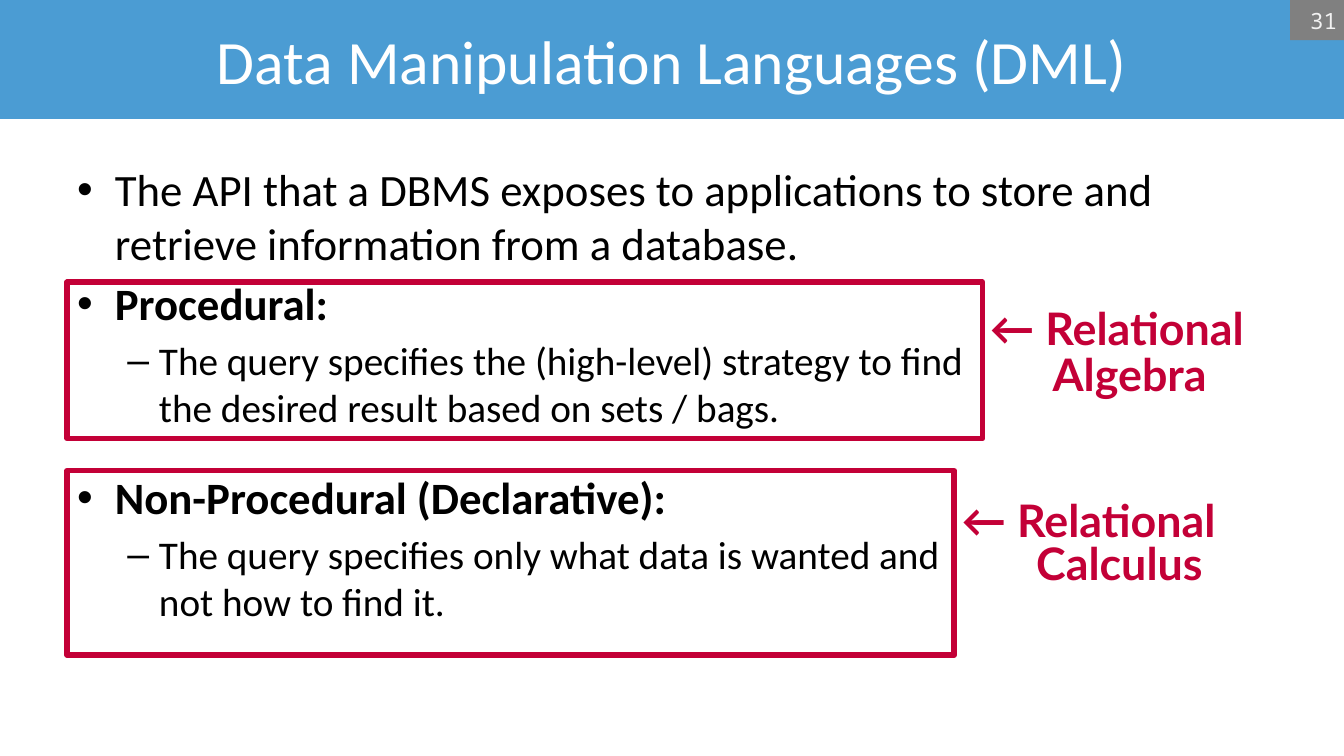
from lxml import etree
from pptx import Presentation
from pptx.dml.color import RGBColor
from pptx.enum.shapes import MSO_SHAPE
from pptx.enum.text import MSO_ANCHOR, PP_ALIGN
from pptx.oxml.ns import qn
from pptx.util import Pt

RECTANGLE = MSO_SHAPE.RECTANGLE
MIDDLE = MSO_ANCHOR.MIDDLE
CENTER = PP_ALIGN.CENTER
RIGHT = PP_ALIGN.RIGHT

BLUE, CRIMSON, GRAY = "4B9CD3", "C30037", "808080"
WHITE, BLACK, PALE = "FFFFFF", "000000", "F2F2F2"

BODY = [
    (0, "The API that a DBMS exposes to applications to store and retrieve "
        "information from a database.", False, 0),
    (0, "Procedural:", True, 4.8),
    (1, "The query specifies the (high-level) strategy to find\n"
        "the desired result based on sets / bags.", False, 4.8),
    (0, "Non-Procedural (Declarative):", True, 28),
    (1, "The query specifies only what data is wanted and\n"
        "not how to find it.", False, 4.8),
]
LEVELS = [("•", 32, 27, 27), ("–", 28, 58.5, 22.5)]
CALLOUTS = [
    ((48, 201.6, 653.8, 111.6), "← Relational\nAlgebra", 15.8, 0.85, 45),
    ((48, 336.2, 633.6, 131.8), "← Relational\nCalculus", 19.4, 0.8, 53.5),
]


def color(value):
    return RGBColor.from_string(value)


def style_runs(paragraph, font_name, size, font_color, bold=False):
    for run in paragraph.runs:
        run.font.name = font_name
        run.font.size = Pt(size)
        run.font.bold = bold
        run.font.color.rgb = color(font_color)


def set_hanging(paragraph, margin, hang):
    properties = paragraph._p.get_or_add_pPr()
    properties.set("marL", str(Pt(margin)))
    properties.set("indent", str(-Pt(hang)))
    return properties


def add_rectangle(slide, box):
    shape = slide.shapes.add_shape(RECTANGLE, *map(Pt, box))
    shape.shadow.inherit = False
    return shape


def add_title(slide, box):
    title = slide.shapes.title
    title.left, title.top, title.width, title.height = map(Pt, box)
    title.fill.solid()
    title.fill.fore_color.rgb = color(BLUE)
    frame = title.text_frame
    frame.text = "Data Manipulation Languages (DML)"
    frame.vertical_anchor = MIDDLE
    frame.paragraphs[0].alignment = CENTER
    style_runs(frame.paragraphs[0], "Calibri", 44, WHITE)


def add_body(slide, box):
    frame = slide.shapes.add_textbox(*map(Pt, box)).text_frame
    frame.word_wrap = True
    for index, (level, text, bold, space) in enumerate(BODY):
        paragraph = frame.add_paragraph() if index else frame.paragraphs[0]
        bullet, size, margin, hang = LEVELS[level]
        paragraph.text = text
        paragraph.level = level
        paragraph.space_before = Pt(space)
        properties = set_hanging(paragraph, margin, hang)
        etree.SubElement(properties, qn("a:buFont")).set("typeface", "Arial")
        etree.SubElement(properties, qn("a:buChar")).set("char", bullet)
        style_runs(paragraph, "Calibri", size, BLACK, bold)


def add_callout(slide, box, text, label_offset, line_spacing, hang):
    left, top, width, height = box
    outline = add_rectangle(slide, box)
    outline.fill.background()
    outline.line.color.rgb = color(CRIMSON)
    outline.line.width = Pt(4)
    label_box = (left + width - 2, top + label_offset, 222, 80)
    frame = slide.shapes.add_textbox(*map(Pt, label_box)).text_frame
    frame.word_wrap = True
    paragraph = frame.paragraphs[0]
    paragraph.text = text
    paragraph.line_spacing = line_spacing
    set_hanging(paragraph, hang, hang)
    style_runs(paragraph, "Lato", 32, CRIMSON, True)


def add_page_number(slide, box):
    shape = add_rectangle(slide, box)
    shape.fill.solid()
    shape.fill.fore_color.rgb = color(GRAY)
    shape.line.fill.background()
    frame = shape.text_frame
    frame.margin_left = 0
    frame.margin_top = frame.margin_right = frame.margin_bottom = Pt(5)
    frame.vertical_anchor = MIDDLE
    frame.text = "31"
    frame.paragraphs[0].alignment = RIGHT
    style_runs(frame.paragraphs[0], "Noto Sans Mono", 16, PALE)


def main():
    presentation = Presentation()
    presentation.slide_width = Pt(960)
    presentation.slide_height = Pt(540)
    slide = presentation.slides.add_slide(presentation.slide_layouts[5])
    add_title(slide, (0, 0, 960, 85))
    add_body(slide, (48, 112, 864, 356))
    for callout in CALLOUTS:
        add_callout(slide, *callout)
    add_page_number(slide, (921.6, 0, 38.4, 28.8))
    presentation.save("out.pptx")


if __name__ == "__main__":
    main()
